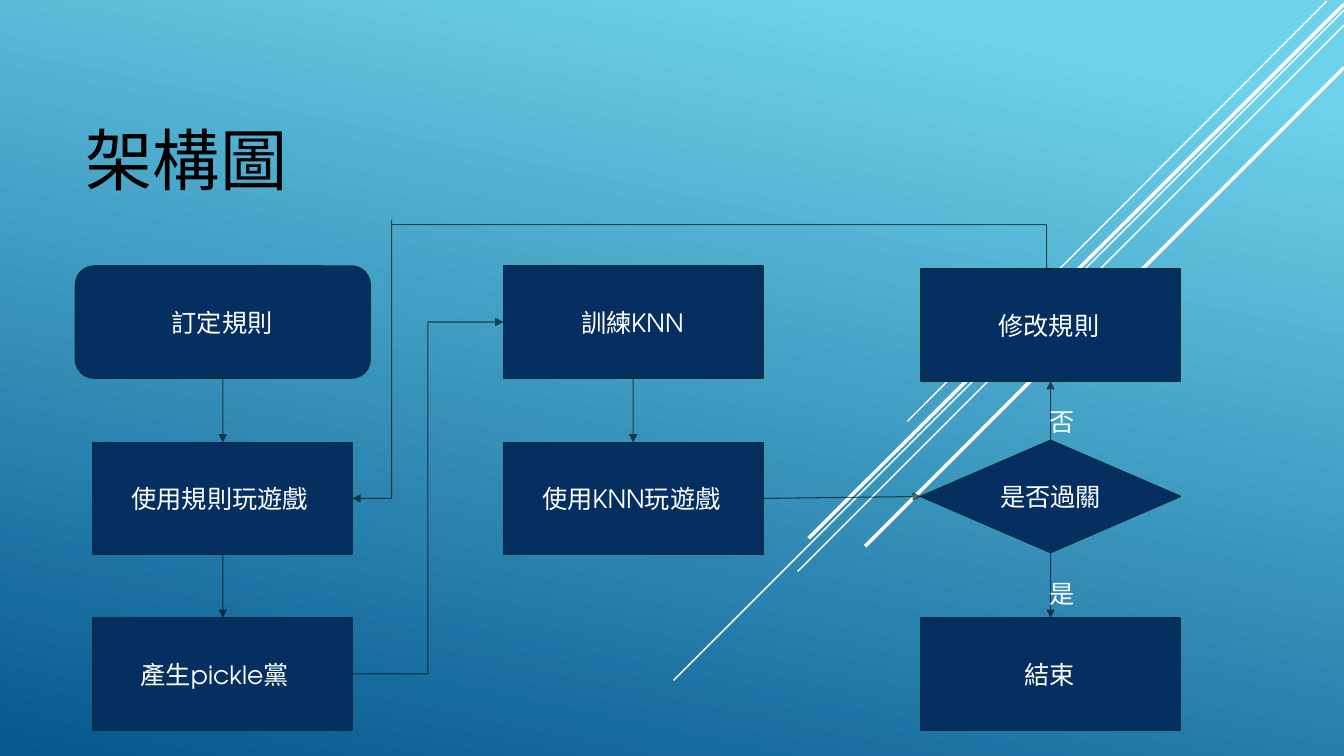
"""Build the flowchart slide 架構圖."""
import pptx
import pptx.dml.color
import pptx.enum.dml
import pptx.enum.shapes
import pptx.enum.text
import pptx.oxml
import pptx.oxml.ns
import pptx.util
from dataclasses import dataclass

Inches, Pt = pptx.util.Inches, pptx.util.Pt
SHAPE = pptx.enum.shapes.MSO_SHAPE
CONNECTOR = pptx.enum.shapes.MSO_CONNECTOR
TOP, LEFT, BOTTOM, RIGHT = range(4)


@dataclass(frozen=True)
class Theme:
    """Colours, font and sizes of the slide."""
    font: str = "TeX Gyre Adventor"
    sky: str = "6ED2EB"
    sea: str = "06588E"
    box: str = "052F61"
    edge: str = "043148"
    light: str = "FFFFFF"
    dark: str = "000000"
    title_size: int = 48
    text_size: int = 18
    edge_width: float = 1.25
    arrow_width: float = 0.75
    arrow_alpha: int = 60


THEME = Theme()
TITLE = "架構圖"
COLUMNS = (2.21, 6.28, 10.42)
ROWS = (2.64, 4.39, 6.13)
BOX_W, BOX_H = 2.57, 1.11
LABEL_DROP, LABEL_H = 0.36, 0.4

STRIPES = [
    (13.16, 0.01, 9, 4.18, 1),
    (13.33, 0.1, 6.68, 6.75, 1),
    (13.33, 0.25, 7.91, 5.67, 1),
    (13.33, 0.04, 8.02, 5.34, 2.5),
    (13.33, 0.67, 8.58, 5.42, 2.5),
]
# name: text, shape, column, top, width, label width
STEPS = {
    "rules": ("訂定規則", SHAPE.ROUNDED_RECTANGLE, 0, ROWS[0], 2.92, 1.21),
    "play": ("使用規則玩遊戲", SHAPE.RECTANGLE, 0, ROWS[1], BOX_W, 2.01),
    "pickle": ("產生pickle黨", SHAPE.RECTANGLE, 0, ROWS[2], BOX_W, 1.83),
    "train": ("訓練KNN", SHAPE.RECTANGLE, 1, ROWS[0], BOX_W, 1.23),
    "play_knn": ("使用KNN玩遊戲", SHAPE.RECTANGLE, 1, ROWS[1], BOX_W, 2),
    "change": ("修改規則", SHAPE.RECTANGLE, 2, 2.67, BOX_W, 1.23),
    "passed": ("是否過關", SHAPE.FLOWCHART_DECISION, 2, 4.37, BOX_W, 1.2),
    "end": ("結束", SHAPE.RECTANGLE, 2, ROWS[2], BOX_W, 0.71),
}
ARROWS = [
    ("rules", BOTTOM, "play", TOP, CONNECTOR.STRAIGHT),
    ("play", BOTTOM, "pickle", TOP, CONNECTOR.STRAIGHT),
    ("pickle", RIGHT, "train", LEFT, CONNECTOR.ELBOW),
    ("train", BOTTOM, "play_knn", TOP, CONNECTOR.STRAIGHT),
    ("play_knn", RIGHT, "passed", LEFT, CONNECTOR.STRAIGHT),
    ("passed", TOP, "change", BOTTOM, CONNECTOR.STRAIGHT),
    ("passed", BOTTOM, "end", TOP, CONNECTOR.STRAIGHT),
]
ANSWERS = [("是", 5.69), ("否", 3.98)]


def rgb(value):
    """Return a colour from its hex form."""
    return pptx.dml.color.RGBColor.from_string(value)


def add_child(parent, tag, **attributes):
    """Append a DrawingML element."""
    child = pptx.oxml.parse_xml(f"<a:{tag} {pptx.oxml.ns.nsdecls('a')}/>")
    for name, value in attributes.items():
        child.set(name, str(value))
    parent.append(child)
    return child


def add_line(s, kind, ends, color, width, alpha=100, arrow=False):
    """Draw a connector between two points."""
    line = s.shapes.add_connector(kind, *map(Inches, ends))
    line.line.color.rgb = rgb(color)
    line.line.width = Pt(width)
    ln = line.line._get_or_add_ln()
    if alpha < 100:
        srgb = ln.find(".//" + pptx.oxml.ns.qn("a:srgbClr"))
        add_child(srgb, "alpha", val=alpha * 1000)
    if arrow:
        add_child(ln, "tailEnd", type="triangle")
    add_child(line._element.spPr, "effectLst")
    return line


def add_flow(s, kind, ends, arrow=True):
    """Draw a flow line in the theme style."""
    return add_line(s, kind, ends, THEME.dark, THEME.arrow_width, THEME.arrow_alpha, arrow)


def format_text(p, size, color):
    """Set the font of a paragraph."""
    p.font.name, p.font.size = THEME.font, Pt(size)
    p.font.color.rgb = rgb(color)


def add_label(s, text, center, top, width):
    """Add a text box centred on a column."""
    tb = s.shapes.add_textbox(*map(Inches, (center - width / 2, top, width, LABEL_H)))
    tf = tb.text_frame
    tf.word_wrap = True
    tf.auto_size = pptx.enum.text.MSO_AUTO_SIZE.SHAPE_TO_FIT_TEXT
    tf.text = text
    format_text(tf.paragraphs[0], THEME.text_size, THEME.light)


def add_step(s, text, shape, column, top, width, label_width):
    """Add one flowchart step with its label."""
    center = COLUMNS[column]
    sp = s.shapes.add_shape(shape, *map(Inches, (center - width / 2, top, width, BOX_H)))
    sp.shadow.inherit = False
    sp.fill.solid()
    sp.fill.fore_color.rgb = rgb(THEME.box)
    sp.line.color.rgb = rgb(THEME.edge)
    sp.line.width = Pt(THEME.edge_width)
    add_label(s, text, center, top + LABEL_DROP, label_width)
    return sp


def add_return_path(s):
    """Lead from the changed rules back to playing."""
    over = add_flow(s, CONNECTOR.ELBOW, (COLUMNS[2], 2.67, 3.89, 2.23), arrow=False)
    guides = over._element.spPr.prstGeom.get_or_add_avLst()
    add_child(guides, "gd", name="adj1", fmla="val 600")
    down = add_flow(s, CONNECTOR.ELBOW, (2.31, 3.37, 5.07, 3.76))
    down._element.spPr.prstGeom.set("prst", "bentConnector2")
    down._element.spPr.xfrm.set("rot", str(90 * 60000))


def main():
    """Build and save the slide."""
    prs = pptx.Presentation()
    prs.slide_width, prs.slide_height = Inches(13.33), Inches(7.5)
    s = prs.slides.add_slide(prs.slide_layouts[5])

    fill = s.background.fill
    fill.gradient()
    fill.gradient_angle = 360 - 102
    for stop, color, position in zip(fill.gradient_stops, (THEME.sky, THEME.sea), (0.1, 1)):
        stop.color.rgb = rgb(color)
        stop.position = position

    for *ends, width in STRIPES:
        add_line(s, CONNECTOR.STRAIGHT, ends, THEME.light, width)

    title = s.shapes.title
    title.left, title.top, title.width, title.height = map(Inches, (0.75, 0.8, 12.08, 1.22))
    title.text_frame.text = TITLE
    title.text_frame.vertical_anchor = pptx.enum.text.MSO_ANCHOR.BOTTOM
    p = title.text_frame.paragraphs[0]
    p.alignment = pptx.enum.text.PP_ALIGN.LEFT
    format_text(p, THEME.title_size, THEME.dark)

    steps = {name: add_step(s, *step) for name, step in STEPS.items()}
    for start, start_side, end, end_side, kind in ARROWS:
        arrow = add_flow(s, kind, (0, 0, 1, 1))
        arrow.begin_connect(steps[start], start_side)
        arrow.end_connect(steps[end], end_side)
    add_return_path(s)
    for text, top in ANSWERS:
        add_label(s, text, COLUMNS[2] + 0.12, top, 0.46)

    prs.save("out.pptx")


if __name__ == "__main__":
    main()
